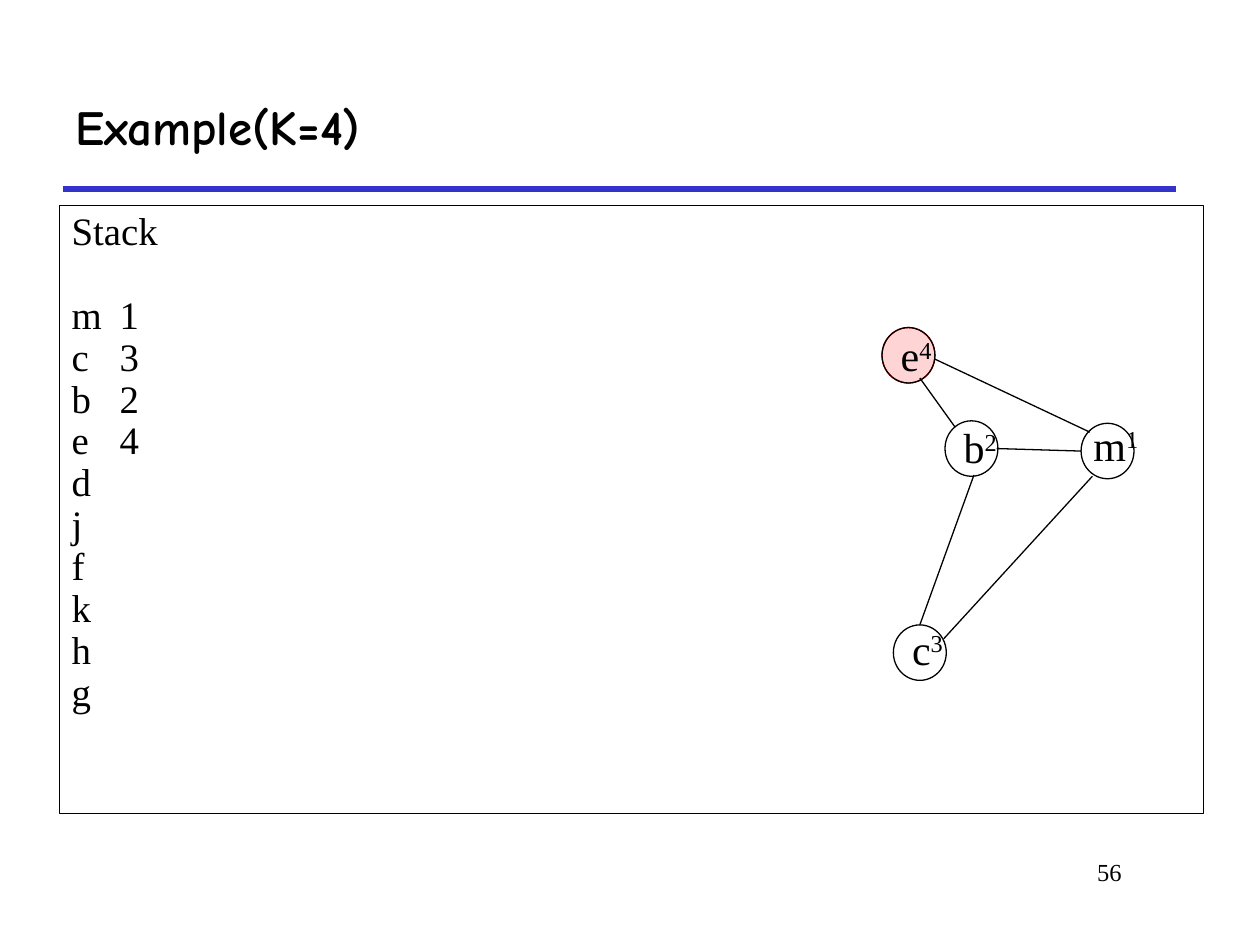
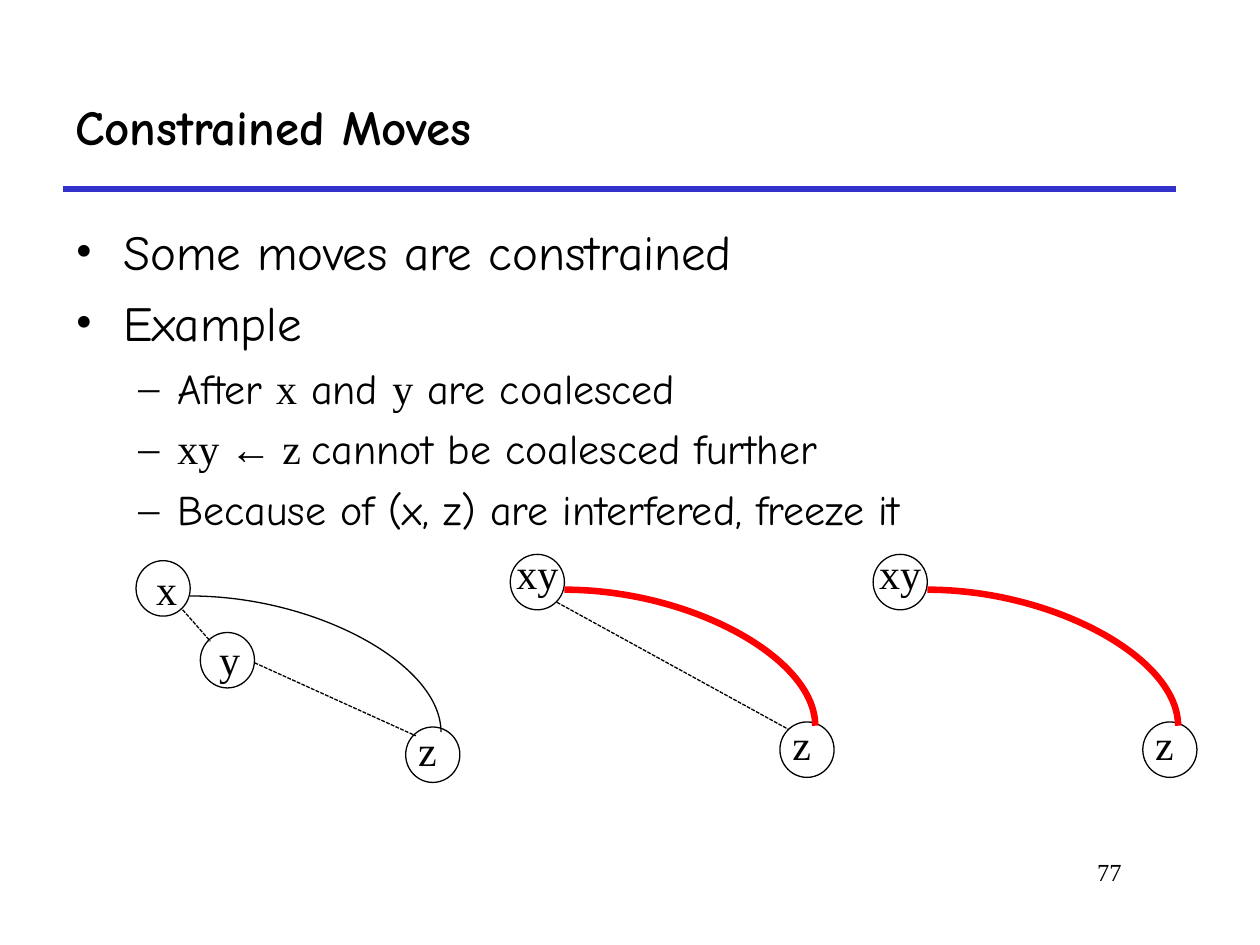
from lxml.etree import SubElement
from pptx import Presentation
from pptx.dml.color import RGBColor
from pptx.enum.dml import MSO_LINE
from pptx.enum.shapes import MSO_CONNECTOR, MSO_SHAPE
from pptx.enum.text import MSO_ANCHOR, MSO_AUTO_SIZE, PP_ALIGN
from pptx.oxml.ns import qn
from pptx.util import Inches, Pt

COLORS = {"text": "000000", "rule": "3333CC", "red": "FF0000"}
SERIF = "Times New Roman"
COMIC = "Comic Neue"


def write(para, text, *, size, font=SERIF, bold=False, raised=False):
    span = para.add_run()
    span.text = text
    span.font.size = Pt(size)
    span.font.name = font
    span.font.bold = bold
    span.font.color.rgb = RGBColor.from_string(COLORS["text"])
    if raised:
        span.font._element.set("baseline", "30000")


def draw_line(page, start, end, *, color="text", width=0.75, dashed=False, curved=False):
    kind = MSO_CONNECTOR.CURVE if curved else MSO_CONNECTOR.STRAIGHT
    line = page.shapes.add_connector(kind, *[Inches(v) for v in (*start, *end)])
    line.line.color.rgb = RGBColor.from_string(COLORS[color])
    line.line.width = Pt(width)
    if dashed:
        line.line.dash_style = MSO_LINE.SQUARE_DOT
    properties = line._element.spPr
    if curved:
        properties.find(qn("a:prstGeom")).set("prst", "curvedConnector2")
    SubElement(properties, qn("a:effectLst"))


deck = Presentation()
deck.slide_width, deck.slide_height = Inches(10), Inches(7.5)

# Shared frame: rule, title and page number
pages = []
for title, number in [("Example(K=4)", "56"), ("Constrained Moves", "77")]:
    page = deck.slides.add_slide(deck.slide_layouts[6])
    pages.append(page)
    draw_line(page, (0.5, 1.5), (9.33, 1.5), color="rule", width=3)
    box = page.shapes.add_textbox(Inches(0.5), Inches(0.5), Inches(8.83), Inches(1))
    box.text_frame.word_wrap = True
    box.text_frame.vertical_anchor = MSO_ANCHOR.MIDDLE
    write(box.text_frame.paragraphs[0], title, size=28, font=COMIC, bold=True)
    box = page.shapes.add_textbox(Inches(6.92), Inches(6.75), Inches(2.08), Inches(0.5))
    box.text_frame.word_wrap = True
    para = box.text_frame.paragraphs[0]
    para.alignment = PP_ALIGN.RIGHT
    write(para, number, size=14)
example, moves = pages

# Stack of removed nodes with the colours assigned so far
box = example.shapes.add_textbox(Inches(0.47), Inches(1.63), Inches(9.08), Inches(4.83))
box.line.color.rgb = RGBColor.from_string(COLORS["text"])
box.line.width = Pt(0.75)
frame = box.text_frame
frame.word_wrap = True
stack = ["Stack", "m\t1", "c\t3", "b\t2", "e\t4", "d", "j", "f", "k", "h", "g"]
for index, entry in enumerate(stack):
    para = frame.add_paragraph() if index else frame.paragraphs[0]
    para.line_spacing = 0.9
    para.space_before = Pt(24 if index == 1 else 0)
    tabs = SubElement(para._p.get_or_add_pPr(), qn("a:tabLst"))
    SubElement(tabs, qn("a:tab"), pos=str(Inches(0.38)), algn="l")
    write(para, entry, size=22.2)

# Bulleted text: level, then pieces of text with their fonts
bullets = [
    (0, [("Some moves are constrained", COMIC)]),
    (0, [("Example", COMIC)]),
    (1, [("After ", COMIC), ("x", SERIF), (" and ", COMIC), ("y", SERIF),
         (" are coalesced", COMIC)]),
    (1, [("xy ← z ", SERIF), ("cannot be coalesced further", COMIC)]),
    (1, [("Because of (x, z) are interfered, freeze it", COMIC)]),
]
# Per level: size, space before, left margin, hanging indent, bullet
levels = [(28, 7, 0.38, 0.38, "•"), (24, 6, 0.81, 0.31, "–")]
box = moves.shapes.add_textbox(Inches(0.5), Inches(1.71), Inches(9.08), Inches(4.83))
frame = box.text_frame
frame.word_wrap = True
for index, (level, pieces) in enumerate(bullets):
    size, before, margin, hanging, mark = levels[level]
    para = frame.add_paragraph() if index else frame.paragraphs[0]
    para.level = level
    para.space_before = Pt(before)
    properties = para._p.get_or_add_pPr()
    properties.set("marL", str(Inches(margin)))
    properties.set("indent", str(-Inches(hanging)))
    bullet_color = SubElement(properties, qn("a:buClr"))
    SubElement(bullet_color, qn("a:srgbClr"), val=COLORS["text"])
    SubElement(properties, qn("a:buFont"), typeface=SERIF)
    SubElement(properties, qn("a:buChar"), char=mark)
    for text, font in pieces:
        write(para, text, size=size, font=font)

# Highlight behind node e
halo = example.shapes.add_shape(MSO_SHAPE.OVAL, Inches(7), Inches(2.6), Inches(0.42), Inches(0.44))
halo.shadow.inherit = False
halo.fill.solid()
halo.fill.fore_color.rgb = RGBColor.from_string(COLORS["red"])
tint = halo.fill._xPr.find(qn("a:solidFill"))[0]
SubElement(tint, qn("a:alpha"), val="17000")
halo.line.color.rgb = RGBColor.from_string(COLORS["red"])
halo.line.width = Pt(0.75)

# Graph nodes: page, name, colour number, circle corner, label offset, label width
nodes = [
    (example, "e", "4", (7, 2.6), (0.05, -0.03), 0.47),
    (example, "b", "2", (7.5, 3.34), (0.05, -0.04), 0.49),
    (example, "m", "1", (8.58, 3.36), (0, -0.08), 0.58),
    (example, "c", "3", (7.09, 4.96), (0.05, -0.06), 0.47),
    (moves, "x", "", (1.08, 4.45), (0.06, -0.03), 0.36),
    (moves, "y", "", (1.59, 5.02), (0.05, -0.04), 0.36),
    (moves, "z", "", (3.22, 5.77), (0, -0.07), 0.35),
]
for shift in (0, 2.88):
    nodes.append((moves, "xy", "", (4.05 + shift, 4.4), (-0.05, -0.1), 0.53))
    nodes.append((moves, "z", "", (6.19 + shift, 5.73), (0, -0.08), 0.35))

for page, name, number, (left, top), (right, down), width in nodes:
    diameter = 0.42 if page is example else 0.43
    circle = page.shapes.add_shape(
        MSO_SHAPE.OVAL, Inches(left), Inches(top), Inches(diameter), Inches(0.44))
    circle.shadow.inherit = False
    circle.fill.background()
    circle.line.color.rgb = RGBColor.from_string(COLORS["text"])
    circle.line.width = Pt(0.75)
    label = page.shapes.add_textbox(
        Inches(left + right), Inches(top + down), Inches(width), Inches(0.5))
    label.text_frame.word_wrap = False
    label.text_frame.auto_size = MSO_AUTO_SIZE.SHAPE_TO_FIT_TEXT
    para = label.text_frame.paragraphs[0]
    write(para, name, size=24)
    if number:
        write(para, number, size=24, raised=True)

# Interference edges of the example
for start, end in [
    ((7.3, 3), (7.58, 3.39)),
    ((7.42, 2.85), (8.65, 3.43)),
    ((7.91, 3.56), (8.58, 3.58)),
    ((7.73, 3.77), (7.3, 4.96)),
    ((7.49, 5.07), (8.67, 3.78)),
]:
    draw_line(example, start, end)

# Move edges are dashed, interference edges are curved
for start, end in [
    ((1.45, 4.84), (1.67, 5.09)),
    ((2.02, 5.26), (3.3, 5.84)),
    ((4.42, 4.78), (6.26, 5.79)),
]:
    draw_line(moves, start, end, dashed=True)
for left, top, color, width in [
    (1.51, 4.73, "text", 0.75),
    (4.48, 4.68, "red", 3.75),
    (7.36, 4.68, "red", 3.75),
]:
    draw_line(moves, (left, top), (left + 1.99, top + 1.08),
              color=color, width=width, curved=True)

deck.save("out.pptx")
